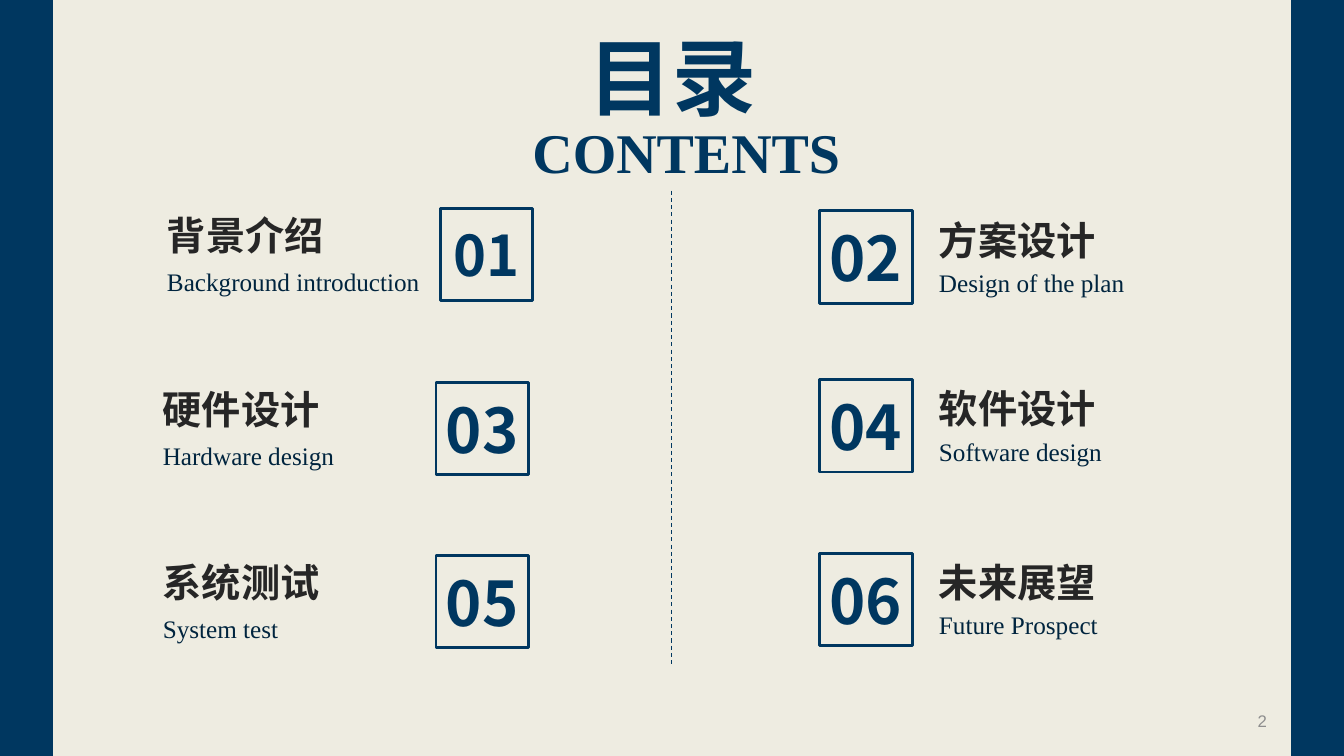
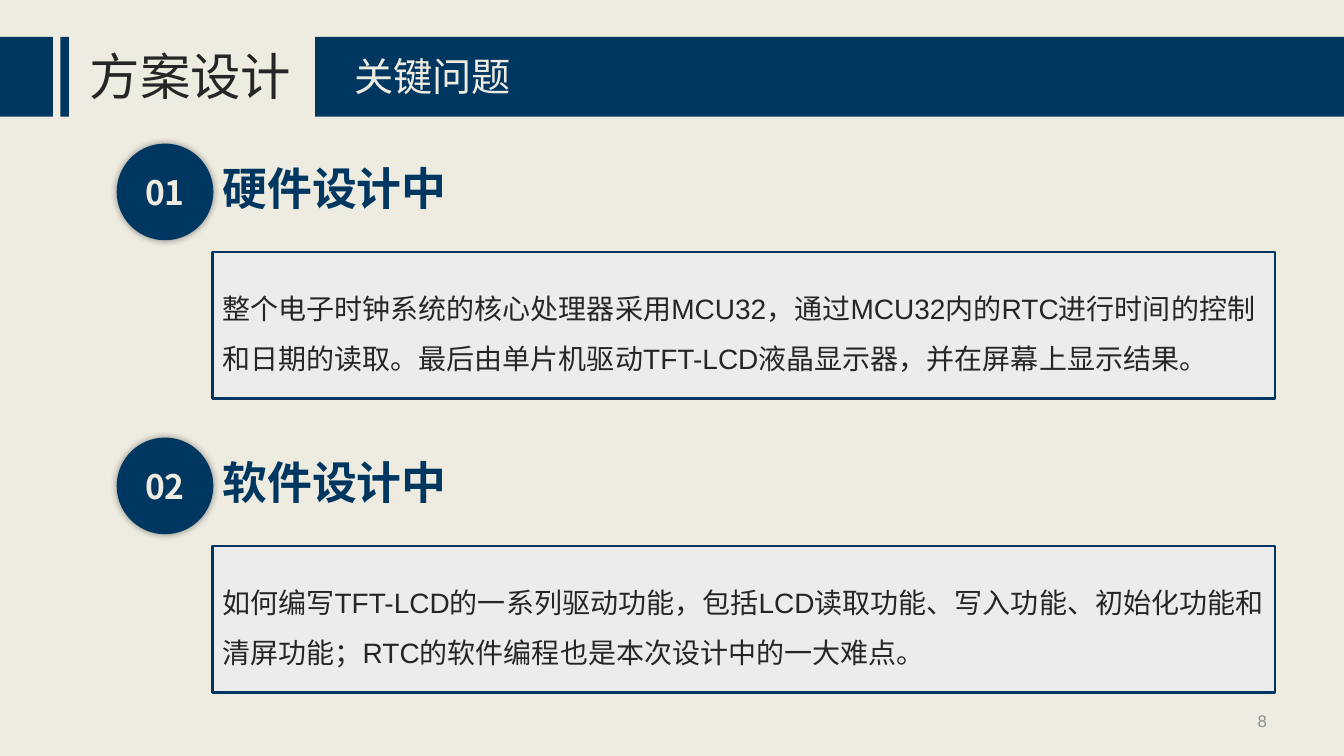
from lxml import etree
from pptx import Presentation
from pptx.dml.color import RGBColor
from pptx.enum.dml import MSO_LINE
from pptx.enum.shapes import MSO_CONNECTOR, MSO_SHAPE
from pptx.enum.text import MSO_ANCHOR, PP_ALIGN
from pptx.oxml.ns import qn
from pptx.util import Inches, Pt

RECTANGLE, OVAL = MSO_SHAPE.RECTANGLE, MSO_SHAPE.OVAL
STRAIGHT, DASH = MSO_CONNECTOR.STRAIGHT, MSO_LINE.DASH
LEFT, CENTER, RIGHT = PP_ALIGN.LEFT, PP_ALIGN.CENTER, PP_ALIGN.RIGHT
TOP, MIDDLE = MSO_ANCHOR.TOP, MSO_ANCHOR.MIDDLE

COLUMNS, ROWS = 160, 90
UNIT = Inches(1) / 12

NAVY, DARK_NAVY = "003760", "00243E"
CREAM, PANEL, INK, GREY = "EEECE1", "ECECEC", "262626", "8E8E8E"
CHINESE, SERIF, SANS = "Noto Sans CJK SC", "Times New Roman", "Arial"

SIDE_BAND = 6.3
BADGE = 11
BADGE_GAP = 13
CIRCLE = 11.5

CONTENTS_LEFT = [
    ("01", "背景介绍", "Background introduction", 18.7, 24.8, 40),
    ("03", "硬件设计", "Hardware design", 18.2, 45.5, 44),
    ("05", "系统测试", "System test", 18.2, 66.1, 44),
]
CONTENTS_RIGHT = [
    ("02", "方案设计", "Design of the plan", 97.6, 25.1, 44),
    ("04", "软件设计", "Software design", 97.6, 45.2, 44),
    ("06", "未来展望", "Future Prospect", 97.6, 65.9, 44),
]
KEY_ISSUES = [
    ("01", "硬件设计中", "整个电子时钟系统的核心处理器采用MCU32，通过MCU32内的RTC进行时间的控制"
     "和日期的读取。最后由单片机驱动TFT-LCD液晶显示器，并在屏幕上显示结果。"),
    ("02", "软件设计中", "如何编写TFT-LCD的一系列驱动功能，包括LCD读取功能、写入功能、初始化功能"
     "和清屏功能；RTC的软件编程也是本次设计中的一大难点。"),
]


def color(value):
    return RGBColor.from_string(value)


def grid(*units):
    return [round(unit * UNIT) for unit in units]


def write(shape, text, size, font, ink, bold=False, align=LEFT, anchor=TOP, spacing=None):
    frame = shape.text_frame
    frame.text = text
    frame.word_wrap = True
    frame.vertical_anchor = anchor
    paragraph = frame.paragraphs[0]
    paragraph.alignment = align
    if spacing:
        paragraph.line_spacing = spacing
    for run in paragraph.runs:
        run.font.size = Pt(size)
        run.font.bold = bold
        run.font.name = font
        run.font.color.rgb = color(ink)
        east_asian = etree.SubElement(run.font._element, qn("a:ea"))
        east_asian.set("typeface", CHINESE)


def add_text(slide, box, *args, **style):
    shape = slide.shapes.add_textbox(*grid(*box))
    write(shape, *args, **style)


def add_block(slide, box, fill=None, line=None, kind=RECTANGLE):
    shape = slide.shapes.add_shape(kind, *grid(*box))
    shape.shadow.inherit = False
    if fill:
        shape.fill.solid()
        shape.fill.fore_color.rgb = color(fill)
    else:
        shape.fill.background()
    if line:
        shape.line.color.rgb = color(line)
        shape.line.width = Pt(2)
    else:
        shape.line.fill.background()
    return shape


def add_soft_shadow(shape):
    effects = shape.element.spPr.find(qn("a:effectLst"))
    shadow = etree.SubElement(effects, qn("a:outerShdw"), blurRad=str(Pt(5)), dist="0", dir="0")
    black = etree.SubElement(shadow, qn("a:srgbClr"), val="000000")
    etree.SubElement(black, qn("a:alpha"), val="40000")


def add_divider(slide, column, top, bottom):
    divider = slide.shapes.add_connector(STRAIGHT, *grid(column, top, column, bottom))
    divider.line.color.rgb = color(NAVY)
    divider.line.width = Pt(0.75)
    divider.line.dash_style = DASH
    etree.SubElement(divider.element.spPr, qn("a:effectLst"))


def add_slide(presentation, page_number):
    slide = presentation.slides.add_slide(presentation.slide_layouts[6])
    slide.background.fill.solid()
    slide.background.fill.fore_color.rgb = color(CREAM)
    add_text(slide, (114.7, 83.4, 37.3, 4.8), page_number, 12, SANS, GREY,
             align=RIGHT, anchor=MIDDLE)
    return slide


def add_contents_entry(slide, entry, badge_shift, text_shift, title_drop, subtitle_drop):
    number, title, subtitle, left, top, size = entry
    text_left = left + text_shift
    add_text(slide, (text_left, top + title_drop, 32.8, 6.8), title, 28, CHINESE, INK, bold=True)
    add_text(slide, (text_left, top + subtitle_drop, 32.8, 4.8), subtitle, 18, SERIF, DARK_NAVY)
    badge = add_block(slide, (left + badge_shift, top, BADGE, BADGE), line=NAVY)
    write(badge, number, size, CHINESE, NAVY, bold=True, align=CENTER, anchor=MIDDLE)
    badge.text_frame.margin_left = badge.text_frame.margin_right = 0


def build_contents(presentation):
    slide = add_slide(presentation, "2")
    for left in (0, COLUMNS - SIDE_BAND):
        add_block(slide, (left, 0, SIDE_BAND, ROWS), fill=NAVY)
    add_text(slide, (64.8, 2.4, 30.5, 13.3), "目录", 60, CHINESE, NAVY, bold=True, align=CENTER)
    add_text(slide, (58.8, 13.4, 42.4, 9.2), "CONTENTS", 40, SERIF, NAVY, bold=True, align=RIGHT)
    add_divider(slide, COLUMNS / 2, 22.7, 79)
    for entry in CONTENTS_LEFT:
        add_contents_entry(slide, entry, 33.7, 0, -0.2, 6.3)
    for entry in CONTENTS_RIGHT:
        add_contents_entry(slide, entry, 0, BADGE_GAP, 0, 6.1)


def add_header(slide, title, subtitle, top=4.4, height=9.5):
    for left, right in ((0, SIDE_BAND), (7.2, 8.2), (37.5, COLUMNS)):
        add_block(slide, (left, top, right - left, height), fill=NAVY)
    add_text(slide, (9.5, top + 0.4, 30.2, 8.5), title, 36, SANS, INK)
    add_text(slide, (41, top + 1.2, 59.8, 6.8), subtitle, 28, SANS, CREAM)


def add_key_issue(slide, issue, left, top):
    number, title, body = issue
    circle = add_block(slide, (left, top, CIRCLE, CIRCLE), fill=NAVY, kind=OVAL)
    add_soft_shadow(circle)
    write(circle, number, 24, CHINESE, CREAM, bold=True, align=CENTER, anchor=MIDDLE)
    text_left = left + 11.4
    add_text(slide, (text_left, top + 1.4, 70.9, 7.7), title, 32, CHINESE, NAVY, bold=True)
    panel = add_block(slide, (text_left, top + 12.9, 126.5, 17.4), fill=PANEL, line=NAVY)
    write(panel, body, 20, SANS, INK, anchor=MIDDLE, spacing=1.5)


def build_key_issues(presentation):
    slide = add_slide(presentation, "8")
    add_header(slide, "方案设计", "关键问题")
    for index, issue in enumerate(KEY_ISSUES):
        add_key_issue(slide, issue, 13.9, 17.1 + 35 * index)


def main():
    presentation = Presentation()
    presentation.slide_width, presentation.slide_height = grid(COLUMNS, ROWS)
    build_contents(presentation)
    build_key_issues(presentation)
    presentation.save("out.pptx")


if __name__ == "__main__":
    main()
